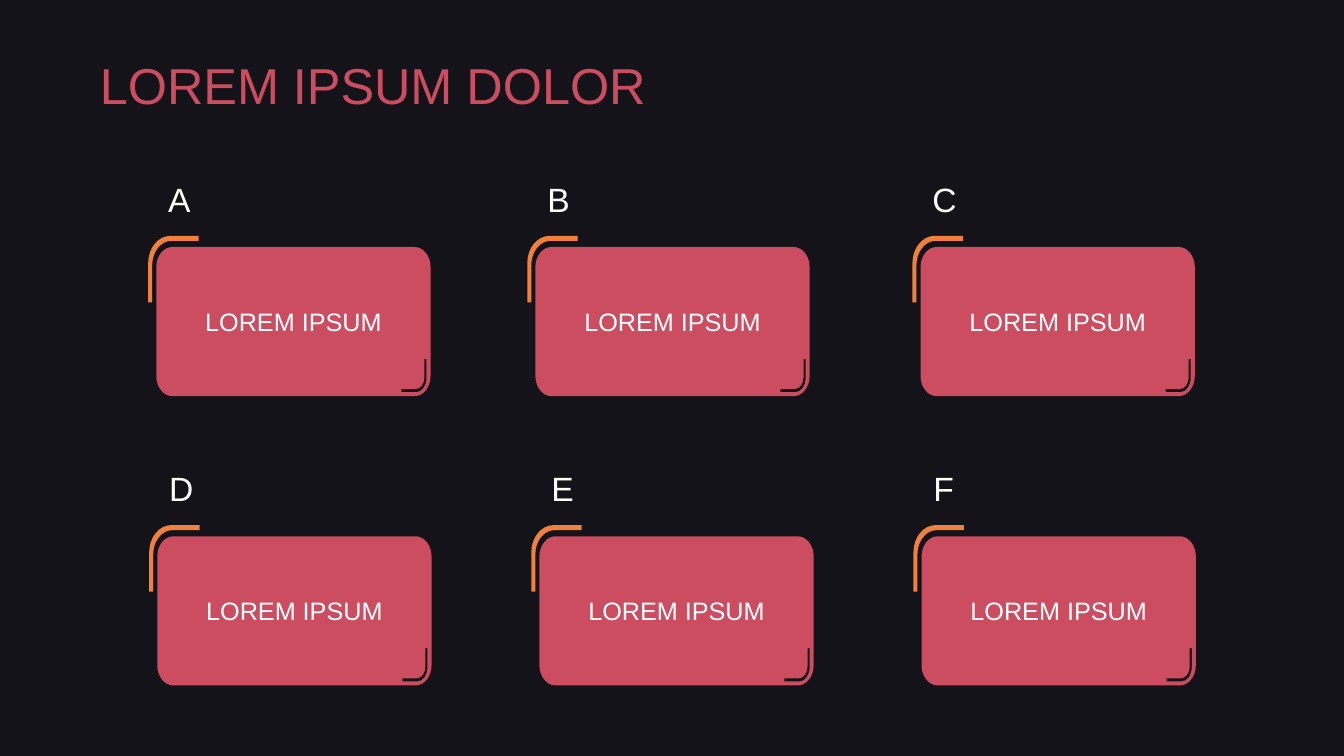
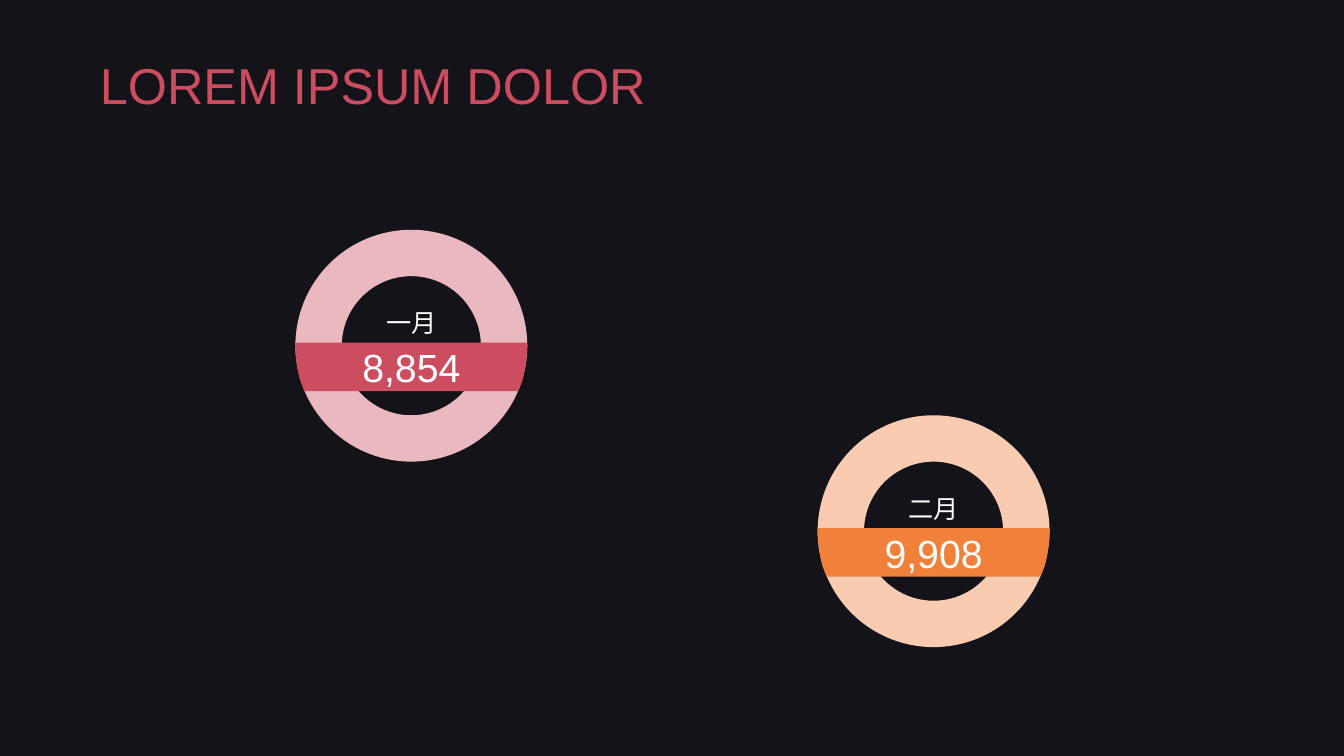
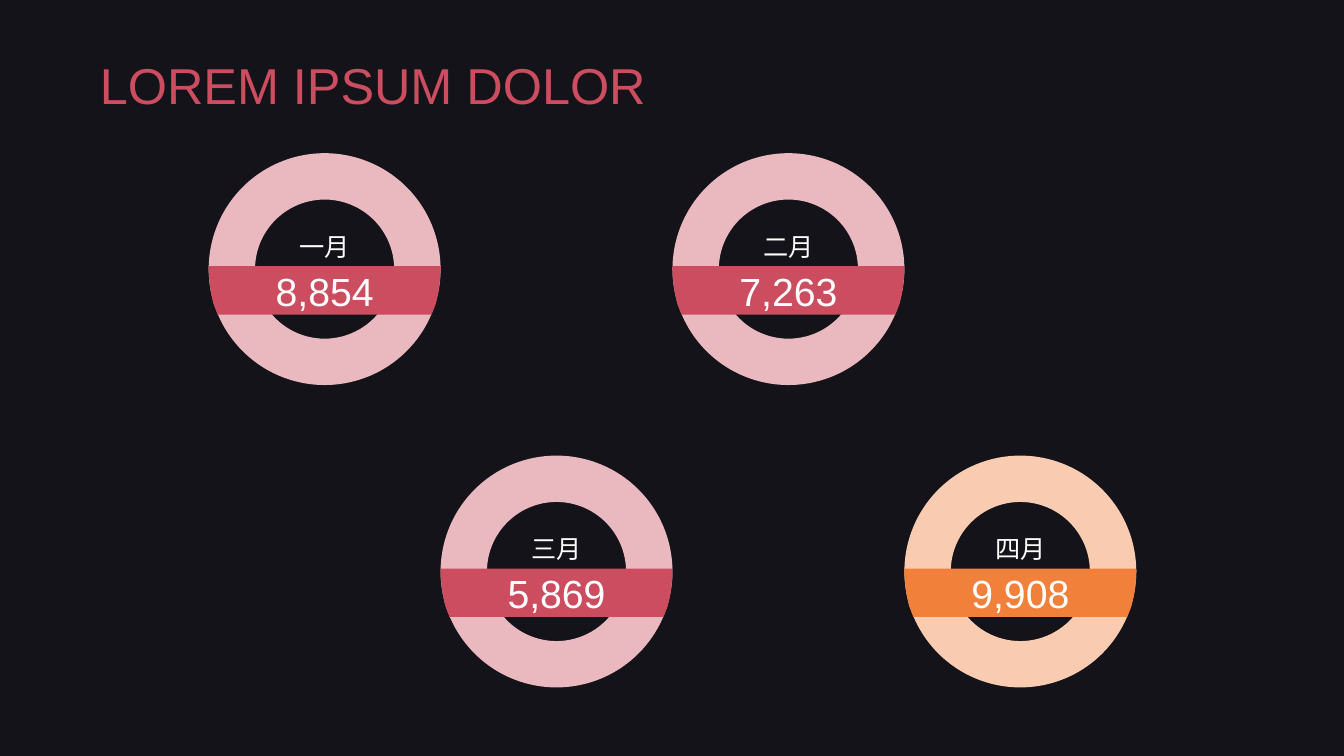
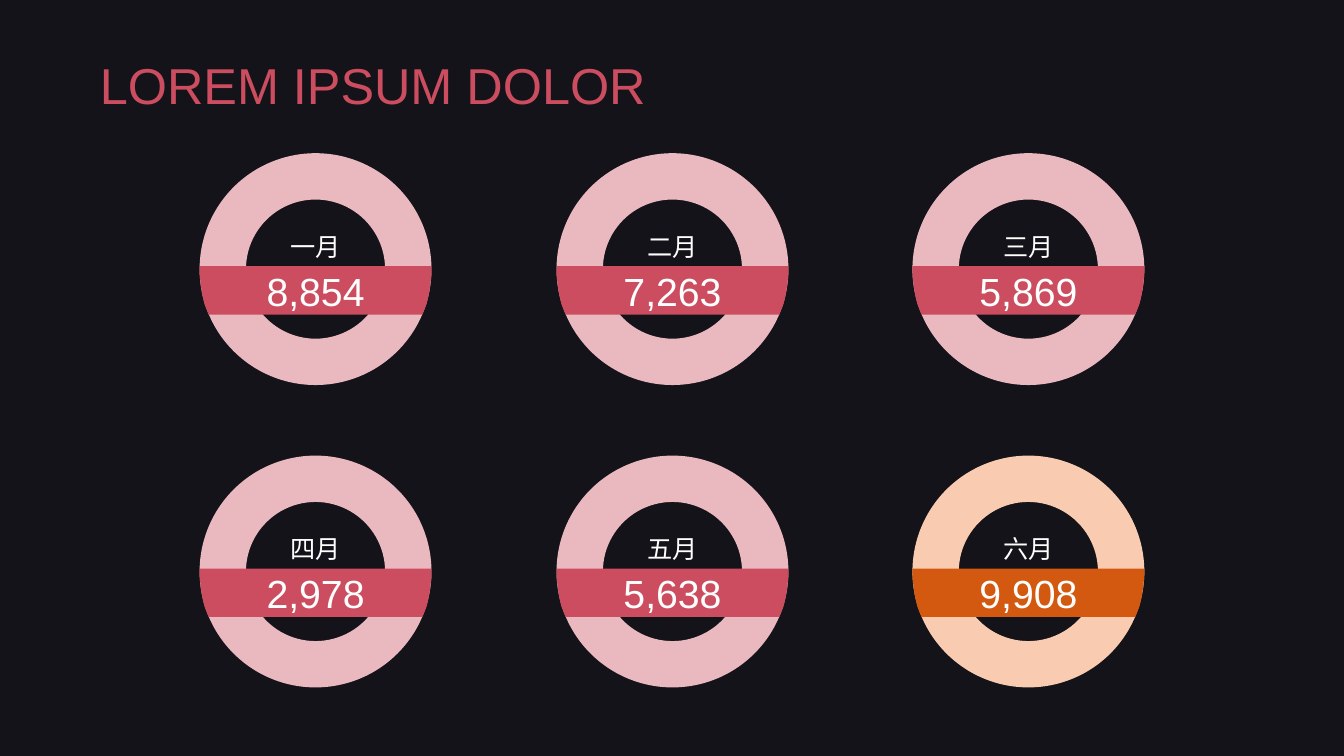
"""Build four dark slides: six lettered cards and three sets of monthly rings."""
from lxml import etree
from pptx import Presentation
from pptx.dml.color import RGBColor
from pptx.enum.shapes import MSO_SHAPE
from pptx.enum.text import MSO_ANCHOR, MSO_AUTO_SIZE, PP_ALIGN
from pptx.oxml.ns import qn
from pptx.util import Inches, Pt

DONUT, RECTANGLE = MSO_SHAPE.DONUT, MSO_SHAPE.RECTANGLE
MIDDLE = MSO_ANCHOR.MIDDLE
LEFT, CENTER = PP_ALIGN.LEFT, PP_ALIGN.CENTER
NO_AUTOFIT = MSO_AUTO_SIZE.NONE

rgb = RGBColor.from_string
FONT = "Arial"
GREY, NIGHT, WHITE = "3F3F3F", "010009", "FFFFFF"
RED, PINK = "CB4D5F", "EAB8BF"
ORANGE, PEACH, RUST = "F1803B", "F9CCB1", "D2590F"
TITLE = "LOREM IPSUM DOLOR"
RING = 2.3
BAND_DROP = 1.12


def bend(start, corner, end):
    """Return the two control points and the end of a curve rounding a corner."""
    controls = [tuple(p + 0.55 * (c - p) for p, c in zip(point, corner)) for point in (start, end)]
    return [*controls, end]


def set_text(shape, text, size, color=WHITE, align=CENTER, margins=(0.1, 0.05, 0.1, 0.05)):
    """Put one formatted, vertically centred line of text into a shape."""
    frame = shape.text_frame
    frame.text = text
    frame.word_wrap = True
    frame.auto_size = NO_AUTOFIT
    frame.vertical_anchor = MIDDLE
    frame.margin_left, frame.margin_top, frame.margin_right, frame.margin_bottom = map(Inches, margins)
    paragraph = frame.paragraphs[0]
    paragraph.alignment = align
    font = paragraph.runs[0].font
    font.name, font.size, font.color.rgb = FONT, Pt(size), rgb(color)


CARD = [
    [
        (2.66, 1.11), (2.66, 1.29), bend((2.66, 1.29), (2.66, 1.41), (2.57, 1.41)),
        (2.43, 1.41), (2.43, 1.44), (2.58, 1.44),
        bend((2.58, 1.44), (2.68, 1.44), (2.68, 1.3)), (2.68, 1.11),
    ],
    [
        (0.16, 0), (2.56, 0), bend((2.56, 0), (2.72, 0), (2.72, 0.2)),
        (2.72, 1.28), bend((2.72, 1.28), (2.72, 1.48), (2.56, 1.48)),
        (0.16, 1.48), bend((0.16, 1.48), (0, 1.48), (0, 1.28)),
        (0, 0.2), bend((0, 0.2), (0, 0), (0.16, 0)),
    ],
]
BRACKET = [[
    (0.22, 0), (0.5, 0), (0.5, 0.05), (0.23, 0.05),
    bend((0.23, 0.05), (0.04, 0.05), (0.04, 0.29)),
    (0.04, 0.66), (0, 0.66), (0, 0.27), bend((0, 0.27), (0, 0), (0.22, 0)),
]]
BAND = [[
    (0, 0), (RING, 0), (RING, 0.03), bend((RING, 0.03), (RING, 0.21), (RING - 0.05, 0.38)),
    (RING - 0.09, 0.48), (0.09, 0.48), (0.05, 0.38), bend((0.05, 0.38), (0, 0.21), (0, 0.03)),
]]

prs = Presentation()
prs.slide_width, prs.slide_height = Inches(13.33), Inches(7.5)
master = prs.slide_master
background = master.background.fill
background.solid()
background.fore_color.rgb = rgb(GREY)

slides = []
for number in range(4):
    slide = prs.slides.add_slide(prs.slide_layouts[5])
    title = slide.shapes.title
    title.left, title.top, title.width, title.height = map(Inches, (0.92, 0.4, 11.5, 0.94))
    set_text(title, TITLE, 36, RED, LEFT, (0.07, 0.04, 0.07, 0.04))
    title.text_frame.paragraphs[0].line_spacing = 0.9
    slides.append(slide)
card_slide, *month_slides = slides

veil = card_slide.shapes.add_shape(RECTANGLE, 0, Inches(-0.01), prs.slide_width, Inches(7.51))
veil.shadow.inherit = False
veil.fill.solid()
veil.fill.fore_color.rgb = rgb(NIGHT)
veil.line.fill.background()
veil_color = veil._element.spPr.find(qn("a:solidFill"))[0]
etree.SubElement(veil_color, qn("a:alpha")).set("val", "69000")
veil._element.nvSpPr.cNvPr.set("id", "20")
master.shapes._spTree.insert(2, veil._element)

outlines = []
card_places = [
    ("A", 1.55, 2.45), ("B", 5.31, 2.45), ("C", 9.13, 2.45),
    ("D", 1.56, 5.32), ("E", 5.35, 5.32), ("F", 9.14, 5.32),
]
for letter, left, top in card_places:
    outlines.append((card_slide, CARD, left, top, RED, "LOREM IPSUM", 18))
    outlines.append((card_slide, BRACKET, left - 0.08, top - 0.11, ORANGE, "", 18))
    label = card_slide.shapes.add_textbox(
        Inches(left + 0.02), Inches(top - 0.86), Inches(0.42), Inches(0.77))
    set_text(label, letter, 24, align=LEFT)

two_places = [(2.93, 2.28), (8.11, 4.12)]
four_places = [(2.07 + RING * column, (1.52, 4.52)[column % 2]) for column in (0, 2, 1, 3)]
six_places = [(left, top) for top in (1.52, 4.52) for left in (1.98, 5.52, 9.05)]
month_sets = [
    (two_places, ["8,854", "9,908"], ORANGE),
    (four_places, ["8,854", "7,263", "5,869", "9,908"], ORANGE),
    (six_places, ["8,854", "7,263", "5,869", "2,978", "5,638", "9,908"], RUST),
]
for slide, (places, values, last_color) in zip(month_slides, month_sets):
    for month, (left, top), value in zip("一二三四五六", places, values):
        is_last = value == values[-1]
        ring = slide.shapes.add_shape(
            DONUT, Inches(left), Inches(top), Inches(RING), Inches(RING))
        ring.adjustments[0] = 0.2
        ring.shadow.inherit = False
        ring.fill.solid()
        ring.fill.fore_color.rgb = rgb(PEACH if is_last else PINK)
        ring.line.fill.background()
        set_text(ring, month + "月", 18, margins=(0.1, 0, 0.1, 0.46))
        band_color = last_color if is_last else RED
        outlines.append((slide, BAND, left, top + BAND_DROP, band_color, value, 28))

for slide, contours, left, top, color, text, size in outlines:
    builder = None
    for contour in contours:
        points = []
        for step in contour:
            points += step if isinstance(step, list) else [step]
        start, *rest = [(Inches(left + x), Inches(top + y)) for x, y in points]
        if builder is None:
            builder = slide.shapes.build_freeform(*start)
        else:
            builder.move_to(*start)
        builder.add_line_segments(rest)
    figure = builder.convert_to_shape()

    outline = next(figure._element.iter(qn("a:path")))
    segments = iter(list(outline))
    for contour in contours:
        for step in contour:
            segment = next(segments)
            if isinstance(step, list):
                curve = etree.Element(qn("a:cubicBezTo"))
                segment.addprevious(curve)
                for line in (segment, next(segments), next(segments)):
                    curve.append(line[0])
                    outline.remove(line)
        next(segments)

    figure.shadow.inherit = False
    figure.fill.solid()
    figure.fill.fore_color.rgb = rgb(color)
    figure.line.fill.background()
    if text:
        set_text(figure, text, size)

prs.save("out.pptx")
